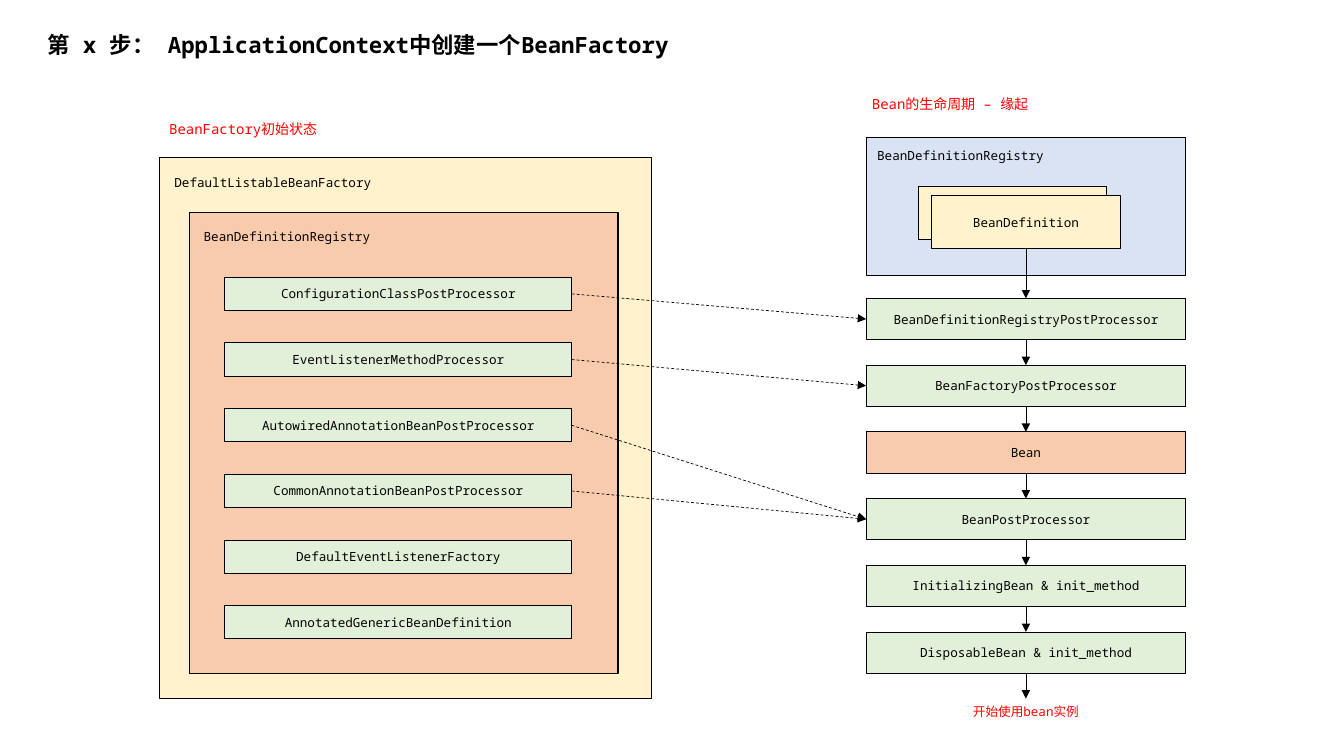
from lxml import etree
from pptx import Presentation
from pptx.dml.color import RGBColor
from pptx.enum.dml import MSO_LINE_DASH_STYLE as DASH
from pptx.enum.shapes import MSO_CONNECTOR, MSO_SHAPE
from pptx.enum.text import MSO_ANCHOR, MSO_AUTO_SIZE, PP_ALIGN
from pptx.oxml.ns import qn
from pptx.util import Inches, Pt

FONT = "Noto Sans Mono"
BLACK, RED = "000000", "FF0000"
YELLOW, ORANGE, GREEN, BLUE = "FFF2CC", "F8CBAD", "E2F0D9", "DAE3F3"
TOP, LEFT, BOTTOM, RIGHT = range(4)  # connection sites of a rectangle

PROCESSORS = [
    "ConfigurationClassPostProcessor",
    "EventListenerMethodProcessor",
    "AutowiredAnnotationBeanPostProcessor",
    "CommonAnnotationBeanPostProcessor",
    "DefaultEventListenerFactory",
    "AnnotatedGenericBeanDefinition",
]
STAGES = [
    ("BeanDefinitionRegistryPostProcessor", GREEN),
    ("BeanFactoryPostProcessor", GREEN),
    ("Bean", ORANGE),
    ("BeanPostProcessor", GREEN),
    ("InitializingBean & init_method", GREEN),
    ("DisposableBean & init_method", GREEN),
]
# Index of processor -> index of the stage it takes part in
LINKS = [(0, 0), (1, 1), (2, 3), (3, 3)]


def rgb(value):
    return RGBColor.from_string(value)


def spread(first, last, count):
    """Evenly spaced positions from first to last."""
    return [first + i * (last - first) / (count - 1) for i in range(count)]


def write(sp, text, size=9, color=BLACK, align=PP_ALIGN.CENTER, bold=False):
    tf = sp.text_frame
    tf.text = text
    tf.word_wrap = True
    p = tf.paragraphs[0]
    p.alignment = align
    r = p.runs[0]
    r.font.name = FONT
    r.font.size = Pt(size)
    r.font.bold = bold
    r.font.color.rgb = rgb(color)
    ea = etree.SubElement(r.font._element, qn("a:ea"))
    ea.set("typeface", FONT)


def add_label(s, text, x, y, w, h=0.25, **style):
    sp = s.shapes.add_textbox(Inches(x), Inches(y), Inches(w), Inches(h))
    write(sp, text, **style)
    sp.text_frame.auto_size = MSO_AUTO_SIZE.SHAPE_TO_FIT_TEXT
    return sp


def add_box(s, x, y, w, h, fill, text=None):
    sp = s.shapes.add_shape(MSO_SHAPE.RECTANGLE, Inches(x), Inches(y), Inches(w), Inches(h))
    sp.shadow.inherit = False
    sp.fill.solid()
    sp.fill.fore_color.rgb = rgb(fill)
    sp.line.color.rgb = rgb(BLACK)
    sp.line.width = Pt(0.75)
    if text:
        write(sp, text)
        sp.text_frame.vertical_anchor = MSO_ANCHOR.MIDDLE
    return sp


def add_arrow(s, start, start_site, end, end_site, dashed=False):
    cx = s.shapes.add_connector(MSO_CONNECTOR.STRAIGHT, 0, 0, 0, 0)
    cx.begin_connect(start, start_site)
    cx.end_connect(end, end_site)
    cx.line.color.rgb = rgb(BLACK)
    cx.line.width = Pt(0.5)
    if dashed:
        cx.line.dash_style = DASH.DASH
    tail = etree.SubElement(cx.line._get_or_add_ln(), qn("a:tailEnd"))
    tail.set("type", "triangle")
    etree.SubElement(cx._element.spPr, qn("a:effectLst"))


def add_factory(s):
    """Initial state of the factory; returns the processor boxes."""
    add_label(s, "BeanFactory初始状态", 1.58, 1.15, 1.94, 0.27,
              size=10, color=RED, align=PP_ALIGN.LEFT)
    add_box(s, 1.58, 1.56, 4.88, 5.37, YELLOW)
    add_label(s, "DefaultListableBeanFactory", 1.58, 1.69, 2.25)
    add_box(s, 1.88, 2.11, 4.25, 4.57, ORANGE)
    add_label(s, "BeanDefinitionRegistry", 1.88, 2.22, 1.93)
    tops = spread(2.75, 6.01, len(PROCESSORS))
    return [add_box(s, 2.23, y, 3.44, 0.33, GREEN, name)
            for name, y in zip(PROCESSORS, tops)]


def add_lifecycle(s):
    """Bean life cycle from definition to use; returns the stage boxes."""
    add_label(s, "Bean的生命周期 – 缘起", 8.55, 0.9, 1.94, 0.27,
              size=10, color=RED, align=PP_ALIGN.LEFT)
    add_box(s, 8.59, 1.36, 3.17, 1.37, BLUE)
    add_label(s, "BeanDefinitionRegistry", 8.59, 1.42, 1.87)
    for x, y in [(9.11, 1.85), (9.24, 1.94)]:
        definition = add_box(s, x, y, 1.87, 0.53, YELLOW, "BeanDefinition")

    tops = spread(2.96, 6.27, len(STAGES))
    stages = [add_box(s, 8.59, y, 3.17, 0.41, fill, name)
              for (name, fill), y in zip(STAGES, tops)]
    ready = add_label(s, "开始使用bean实例", 9.41, 6.93, 1.53, color=RED)

    chain = [definition, *stages, ready]
    for upper, lower in zip(chain, chain[1:]):
        add_arrow(s, upper, BOTTOM, lower, TOP)
    return stages


def main():
    prs = Presentation()
    prs.slide_width, prs.slide_height = Inches(13.33), Inches(7.5)
    s = prs.slides.add_slide(prs.slide_layouts[6])

    # Title
    add_label(s, "第 x 步： ApplicationContext中创建一个BeanFactory", 0.37, 0.26, 6.57, 0.37,
              size=16, align=PP_ALIGN.JUSTIFY, bold=True)

    # Two diagrams and the dashed links between them
    processors = add_factory(s)
    stages = add_lifecycle(s)
    for source, target in LINKS:
        add_arrow(s, processors[source], RIGHT, stages[target], LEFT, dashed=True)

    prs.save("out.pptx")


if __name__ == "__main__":
    main()
